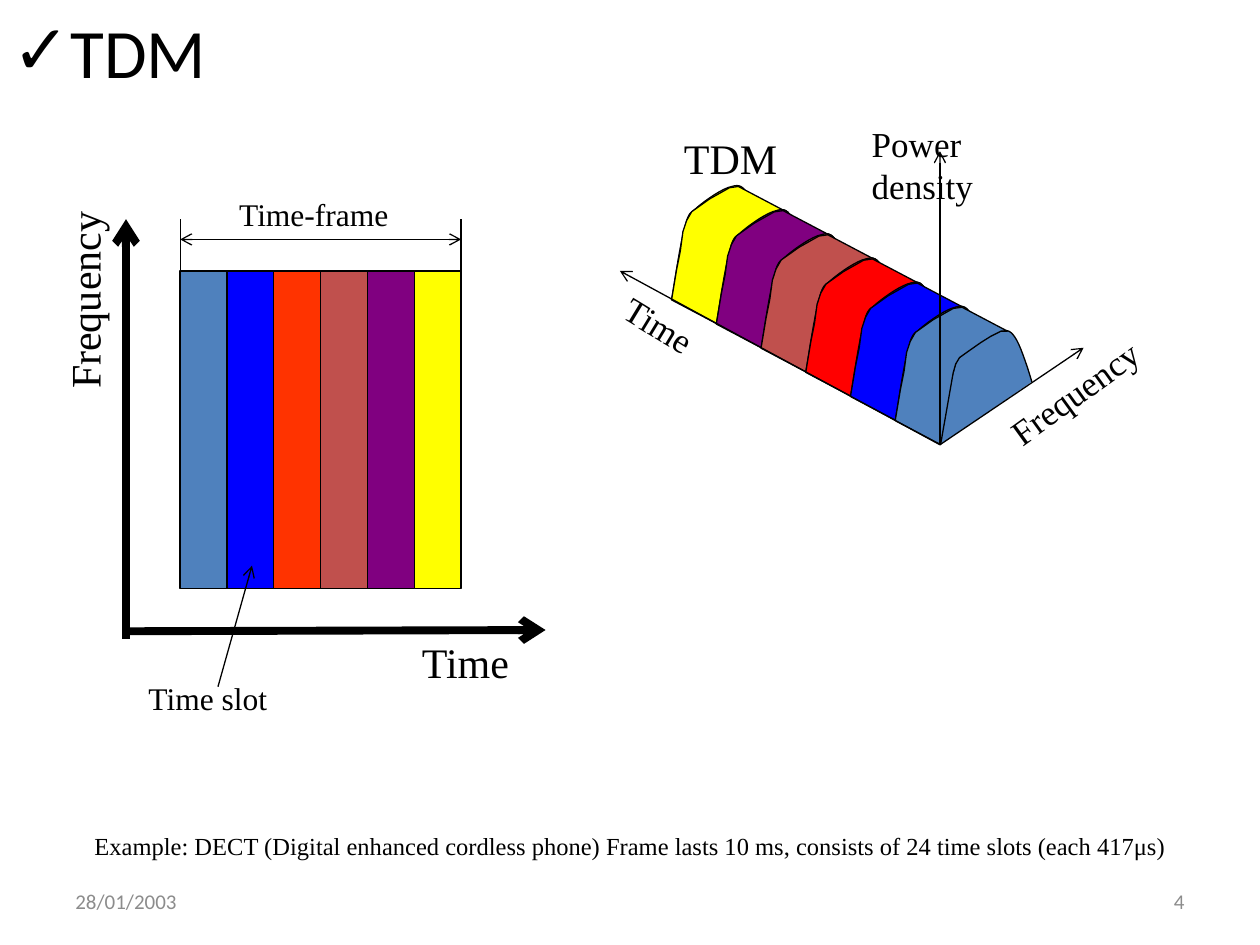
from lxml.etree import SubElement
from pptx import Presentation
from pptx.dml.color import RGBColor
from pptx.enum.shapes import MSO_CONNECTOR as CONN, MSO_SHAPE as SHAPE
from pptx.enum.text import MSO_ANCHOR as ANCHOR, PP_ALIGN as ALIGN
from pptx.oxml.ns import qn
from pptx.util import Inches, Pt


def rgb(color):
    return RGBColor.from_string(color)


def paint(sp, color):
    sp.shadow.inherit = False
    sp.fill.solid()
    sp.fill.fore_color.rgb = rgb(color)
    sp.line.color.rgb = rgb("000000")
    sp.line.width = Pt(0.75)


prs = Presentation()
prs.slide_width, prs.slide_height = Inches(10), Inches(7.5)
s = prs.slides.add_slide(prs.slide_layouts[6])
U = prs.slide_width / 10

SLOTS = 6
back_x, back_y = 5.33, 2.38
origin_x, origin_y = 7.46, 3.53
dx, dy = (origin_x - back_x) / SLOTS, (origin_y - back_y) / SLOTS

curves = [
    ((0.02, -0.1), (0.07, -0.47), (0.11, -0.59)),
    ((0.14, -0.71), (0.15, -0.68), (0.21, -0.74)),
    ((0.27, -0.79), (0.41, -0.89), (0.48, -0.9)),
    ((0.54, -0.92), (0.57, -0.9), (0.61, -0.83)),
    ((0.65, -0.76), (0.71, -0.57), (0.73, -0.5)),
]
hump = [(0, 0)]
for c1, c2, end in curves:
    start = hump[-1]
    for t in [n / 8 for n in range(1, 9)]:
        weights = ((1 - t) ** 3, 3 * t * (1 - t) ** 2, 3 * t ** 2 * (1 - t), t ** 3)
        hump.append(tuple(sum(w * pt[k] for w, pt in zip(weights, (start, c1, c2, end)))
                          for k in (0, 1)))
front = [(x + dx, y + dy) for x, y in hump]
side = [
    (0.36, 0.19), (0, 0), (0.04, -0.24), (0.07, -0.39), (0.09, -0.54), (0.12, -0.63),
    (0.16, -0.7), (0.3, -0.8), (0.46, -0.89), (0.53, -0.9), (0.89, -0.71), (0.84, -0.71),
    (0.76, -0.67), (0.68, -0.62), (0.58, -0.55), (0.51, -0.5), (0.48, -0.45), (0.46, -0.38),
]

slice_colors = ["FFFF00", "800080", "C0504D", "FF0000", "0000FF", "4F81BD"]
for i, color in enumerate(slice_colors):
    group = s.shapes.add_group_shape()
    for outline, closed in [(hump, False), (front, False), (side, True)]:
        pts = [((back_x + i * dx + x) * U, (back_y + i * dy + y) * U) for x, y in outline]
        builder = group.shapes.build_freeform(*pts[0])
        builder.add_line_segments(pts[1:], close=closed)
        paint(builder.convert_to_shape(), color)

frame_x, frame_end, frame_y, slot_h = 1.43, 3.66, 2.15, 2.52
slot_w = (frame_end - frame_x) / SLOTS
slot_colors = ["4F81BD", "0000FF", "FF3300", "C0504D", "800080", "FFFF00"]
for i, color in enumerate(slot_colors):
    box = (frame_x + i * slot_w, frame_y, slot_w, slot_h)
    paint(s.shapes.add_shape(SHAPE.RECTANGLE, *[int(v * U) for v in box]), color)

lines = [
    (1, 5.07, 1, 1.74, 4.5, ["tailEnd"]),
    (1.02, 5.01, 4.33, 5, 4.5, ["tailEnd"]),
    (frame_x, 1.9, frame_end, 1.9, 0.75, ["headEnd", "tailEnd"]),
    (1.73, 5.45, 2, 4.49, 0.75, ["tailEnd"]),
    (frame_x, frame_y, frame_x, 1.74, 0.75, []),
    (frame_end, frame_y, frame_end, 1.74, 0.75, []),
    (origin_x, origin_y, 8.6, 2.76, 0.75, ["tailEnd"]),
    (origin_x, origin_y, 4.92, 2.15, 0.75, ["tailEnd"]),
    (origin_x, 1.2, origin_x, origin_y, 0.75, ["headEnd"]),
]
for *ends, width, arrows in lines:
    cn = s.shapes.add_connector(CONN.STRAIGHT, *[int(v * U) for v in ends])
    cn.line.color.rgb = rgb("000000")
    cn.line.width = Pt(width)
    spPr = cn._element.spPr
    for tag in arrows:
        SubElement(spPr.find(qn("a:ln")), qn("a:" + tag), type="arrow")
    SubElement(spPr, qn("a:effectLst"))

SERIF, SANS = "Times New Roman", "Calibri"
example = ("Example: DECT (Digital enhanced cordless phone) Frame lasts 10 ms, "
           "consists of 24 time slots (each 417μs)")
texts = [
    ("TDM", 0, 0.25, 4.92, 0.3, 0, 39.6, SANS, "000000", ALIGN.LEFT, True, 0.1),
    ("Frequency", -0.14, 2.13, 1.61, 0.5, 270, 24, SERIF, "000000", ALIGN.LEFT, False, 0.1),
    ("Time", 3.25, 5, 0.9, 0.5, 0, 24, SERIF, "000000", ALIGN.LEFT, False, 0.1),
    ("Time slot", 1.08, 5.34, 1.15, 0.4, 0, 18, SERIF, "000000", ALIGN.LEFT, False, 0.1),
    ("Time-frame", 1.8, 1.5, 1.4, 0.4, 0, 18, SERIF, "000000", ALIGN.LEFT, False, 0.1),
    (example, 0.34, 6.55, 9.33, 0.33, 0, 14, SERIF, "000000", ALIGN.CENTER, True, 0.1),
    ("Time", 4.84, 2.38, 0.84, 0.43, 31.4, 20, SERIF, "000000", ALIGN.LEFT, True, 0.1),
    ("Power density", 6.82, 0.92, 1.78, 0.43, 0, 20, SERIF, "000000", ALIGN.LEFT, True, 0.6),
    ("TDM", 5.33, 1, 0.94, 0.5, 0, 24, SERIF, "000000", ALIGN.LEFT, False, 0.1),
    ("Frequency", 7.84, 2.9, 1.37, 0.43, 324.1, 20, SERIF, "000000", ALIGN.LEFT, False, 0),
    ("28/01/2003", 0.5, 6.95, 2.33, 0.4, 0, 12, SANS, "8C8C8C", ALIGN.LEFT, True, 0.1),
    ("4", 7.17, 6.95, 2.33, 0.4, 0, 12, SANS, "8C8C8C", ALIGN.RIGHT, True, 0.1),
]
for text, x, y, w, h, angle, size, font, color, align, wrap, inset in texts:
    sp = s.shapes.add_textbox(*[int(v * U) for v in (x, y, w, h)])
    sp.rotation = angle
    tf = sp.text_frame
    tf.text = text
    tf.word_wrap = wrap
    tf.margin_right = int(inset * U)
    tf.vertical_anchor = ANCHOR.MIDDLE if font == SANS else ANCHOR.TOP
    p = tf.paragraphs[0]
    p.alignment = align
    if size == 39.6:
        pPr = p._p.get_or_add_pPr()
        pPr.set("marL", str(int(0.46 * U)))
        pPr.set("indent", str(int(-0.46 * U)))
        SubElement(pPr, qn("a:buFont"), typeface=SANS)
        SubElement(pPr, qn("a:buChar"), char="✓")
    r = p.runs[0]
    r.font.size = Pt(size)
    r.font.name = font
    r.font.color.rgb = rgb(color)

prs.save("out.pptx")
